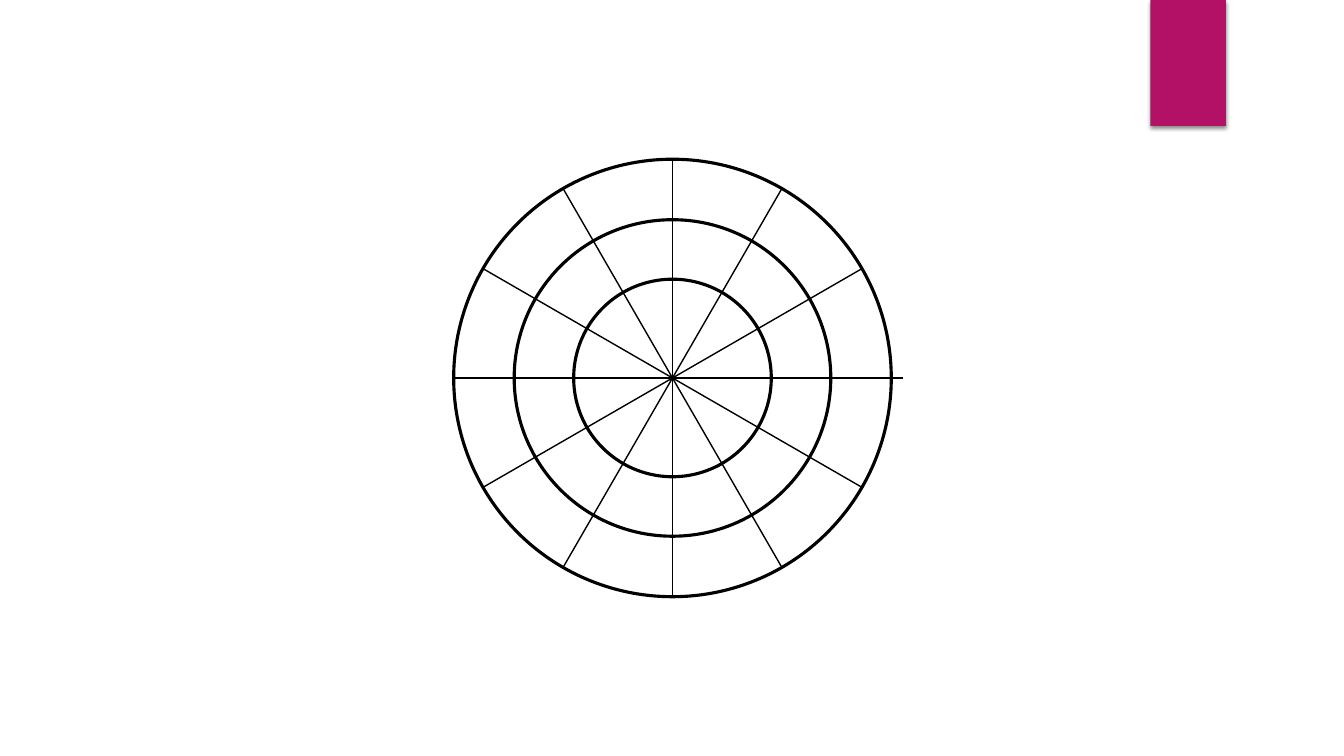
from math import cos, radians, sin

from lxml import etree
from pptx import Presentation
from pptx.dml.color import RGBColor
from pptx.enum.shapes import MSO_CONNECTOR, MSO_SHAPE
from pptx.oxml.ns import qn
from pptx.util import Inches, Pt

RECTANGLE = MSO_SHAPE.RECTANGLE
RING = MSO_SHAPE.FLOWCHART_CONNECTOR
STRAIGHT = MSO_CONNECTOR.STRAIGHT

COLORS = {"ink": "000000", "accent": "B31166"}
CENTER_X, CENTER_Y = 6.67, 3.75
RADII = (0.98, 1.57, 2.17)
AXIS_OVERHANG = 0.12
SPOKE_STEP = 30


class PolarGridSlide:
    """Holds the line styles and the slide being drawn."""

    ring_format = {"width": Pt(2.25)}
    spoke_format = {"width": Pt(1)}

    def __init__(self, slide):
        self.shapes = slide.shapes

    def style_line(self, line, line_format):
        line.color.rgb = RGBColor.from_string(COLORS["ink"])
        for name, value in line_format.items():
            setattr(line, name, value)

    def add_tab(self, left, top, width, height):
        """Add the accent block with a soft shadow below it."""
        tab = self.shapes.add_shape(
            RECTANGLE, Inches(left), Inches(top), Inches(width), Inches(height))
        tab.fill.solid()
        tab.fill.fore_color.rgb = RGBColor.from_string(COLORS["accent"])
        tab.line.fill.background()
        tab.shadow.inherit = False
        effects = tab._element.spPr.find(qn("a:effectLst"))
        shadow = etree.SubElement(
            effects, qn("a:outerShdw"), blurRad=str(Pt(3)), dist=str(Pt(2)),
            dir="5400000", rotWithShape="0")
        shade = etree.SubElement(shadow, qn("a:srgbClr"), val=COLORS["ink"])
        etree.SubElement(shade, qn("a:alpha"), val="45000")

    def add_ring(self, radius):
        ring = self.shapes.add_shape(
            RING, Inches(CENTER_X - radius), Inches(CENTER_Y - radius),
            Inches(2 * radius), Inches(2 * radius))
        ring.fill.background()
        ring.shadow.inherit = False
        self.style_line(ring.line, self.ring_format)

    def add_diameter(self, angle, radius, overhang=0):
        """Add a line through the center, lengthened by overhang at its end."""
        dx, dy = cos(radians(angle)), sin(radians(angle))
        reach = radius + overhang
        diameter = self.shapes.add_connector(
            STRAIGHT,
            Inches(CENTER_X - radius * dx), Inches(CENTER_Y - radius * dy),
            Inches(CENTER_X + reach * dx), Inches(CENTER_Y + reach * dy))
        etree.SubElement(diameter._element.spPr, qn("a:effectLst"))
        self.style_line(diameter.line, self.spoke_format)


def main():
    deck = Presentation()
    deck.slide_width, deck.slide_height = Inches(13.33), Inches(7.5)
    grid = PolarGridSlide(deck.slides.add_slide(deck.slide_layouts[6]))

    grid.add_tab(11.41, 0, 0.75, 1.25)
    for radius in RADII:
        grid.add_ring(radius)
    for angle in range(SPOKE_STEP, 180, SPOKE_STEP):
        grid.add_diameter(angle, RADII[-1])
    grid.add_diameter(0, RADII[-1], AXIS_OVERHANG)

    deck.save("out.pptx")


if __name__ == "__main__":
    main()
